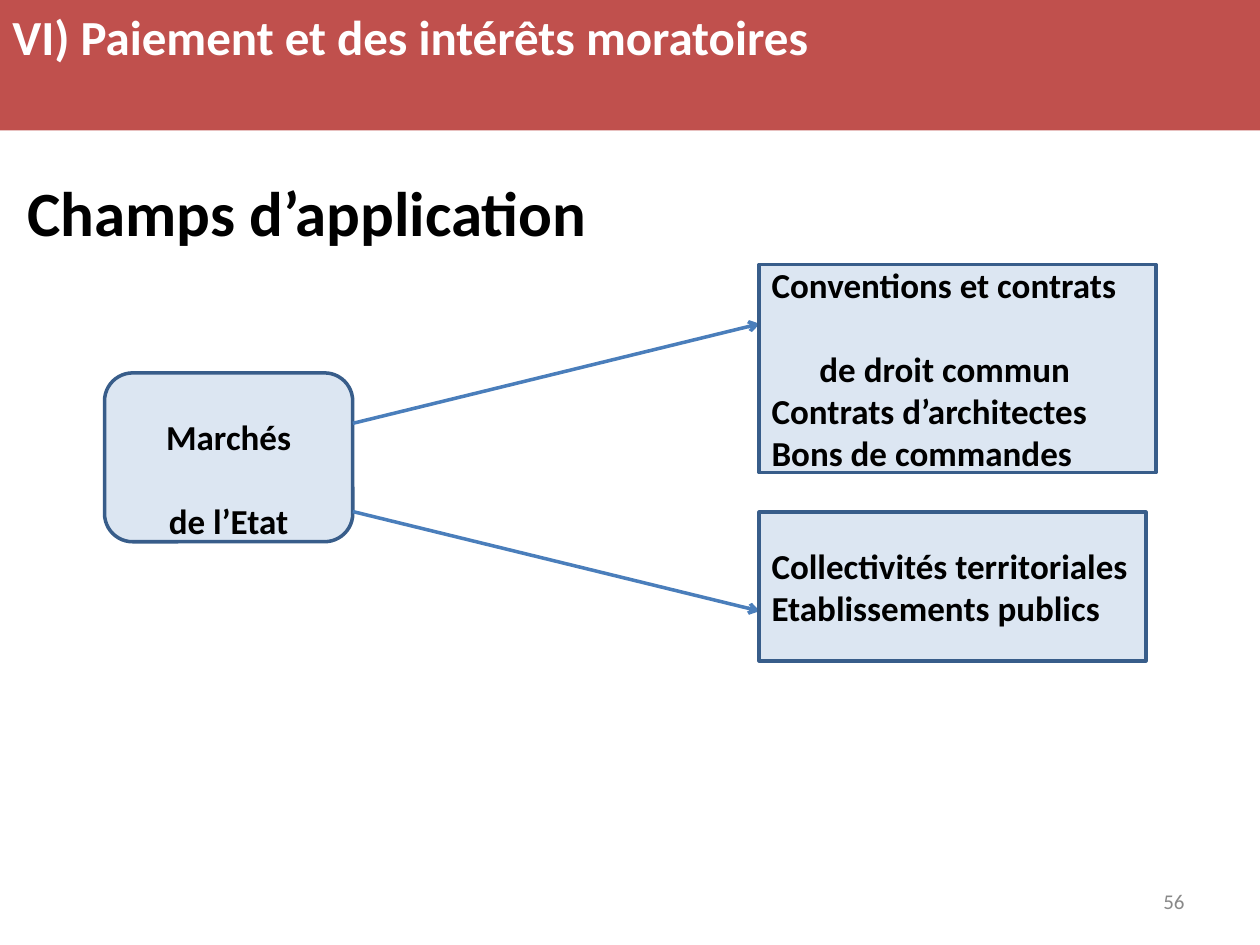
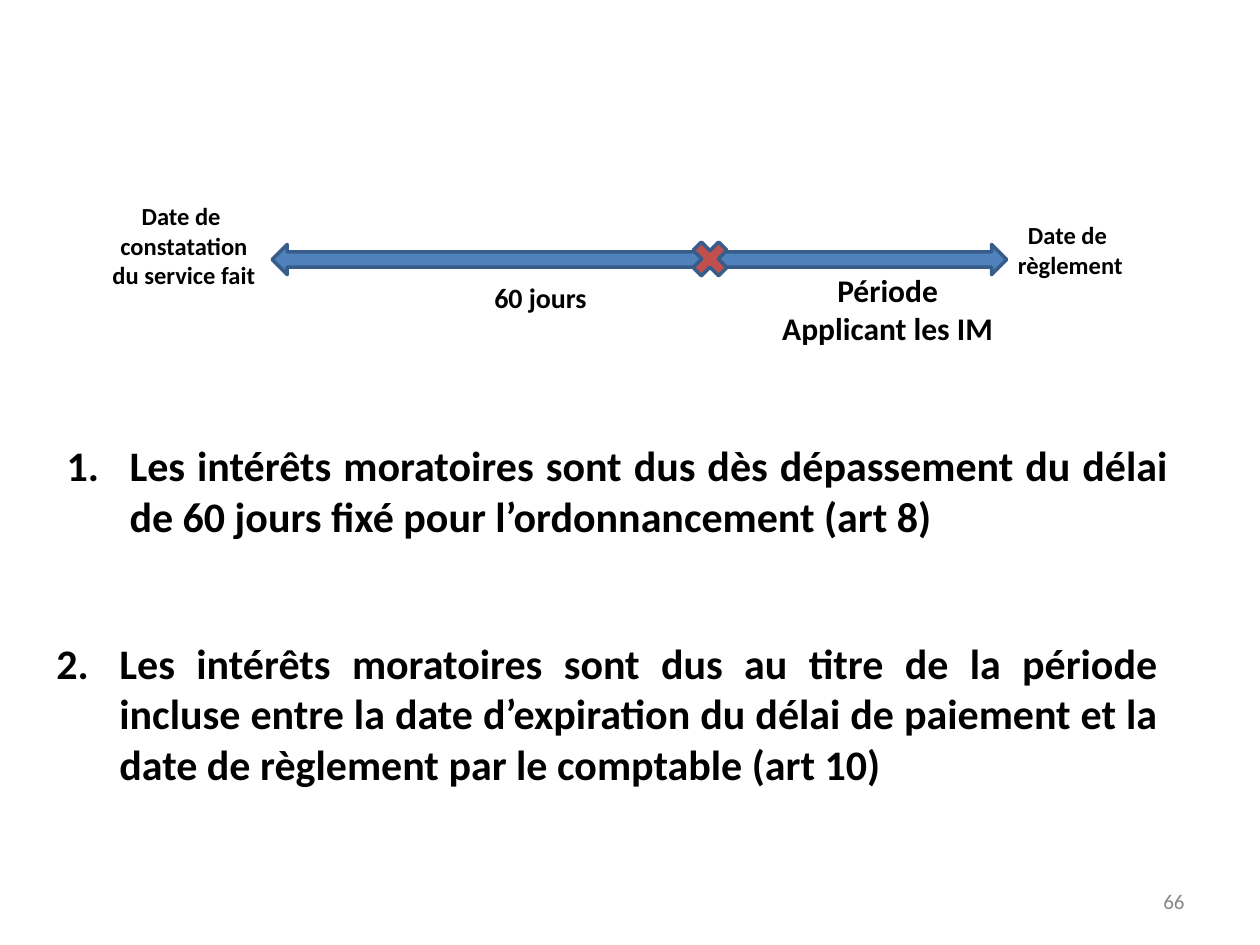
from dataclasses import dataclass
from typing import Optional

from lxml.etree import SubElement
from pptx import Presentation
from pptx.dml.color import RGBColor
from pptx.enum.shapes import MSO_CONNECTOR, MSO_SHAPE
from pptx.enum.text import MSO_ANCHOR, PP_ALIGN
from pptx.oxml.ns import qn
from pptx.util import Emu, Inches, Pt

COLORS = {
    "band": "C0504D",
    "box": "DCE6F2",
    "outline": "385D8A",
    "link": "4A7EBB",
    "timeline": "4F81BD",
    "text": "000000",
    "title": "FFFFFF",
    "number": "898989",
}
FONT = "Calibri"
SLIDE_WIDTH, SLIDE_HEIGHT = Inches(10), Inches(7.5)
COLUMN, ROW = SLIDE_WIDTH / 100, SLIDE_HEIGHT / 75
BLANK_LINE = 24


@dataclass(frozen=True)
class Area:
    left: float
    top: float
    width: float
    height: float

    def lengths(self) -> tuple:
        return (columns(self.left), rows(self.top),
                columns(self.width), rows(self.height))


@dataclass(frozen=True)
class Line:
    text: str
    space_before: float = 0
    indent: float = 0


@dataclass(frozen=True)
class ContractBox:
    area: Area
    lines: tuple
    preset: MSO_SHAPE = MSO_SHAPE.RECTANGLE
    align: PP_ALIGN = PP_ALIGN.LEFT
    anchor: MSO_ANCHOR = MSO_ANCHOR.MIDDLE
    top_inset: float = 0.5


@dataclass(frozen=True)
class Label:
    area: Area
    lines: tuple
    size: int


@dataclass(frozen=True)
class Rule:
    number: int
    area: Area
    text: str


PAGE_NUMBER = Area(71.7, 69.5, 23.3, 4)
BAND = Area(0, 0, 100, 10.35)
HEADING = Area(1.2, 13.3, 63.8, 7)

STATE_BOX = ContractBox(
    Area(8.3, 29.6, 19.7, 13.4),
    (Line("Marchés"), Line("de l’Etat", space_before=BLANK_LINE)),
    MSO_SHAPE.ROUNDED_RECTANGLE, PP_ALIGN.CENTER, MSO_ANCHOR.TOP, 2.7)
CONTRACT_BOX = ContractBox(
    Area(60.25, 21, 31.5, 16.5),
    (Line("Conventions et contrats"),
     Line("de droit commun", space_before=BLANK_LINE, indent=3.8),
     Line("Contrats d’architectes"),
     Line("Bons de commandes")))
AUTHORITY_BOX = ContractBox(
    Area(60.25, 40.65, 30.7, 11.8),
    (Line("Collectivités territoriales"), Line("Etablissements publics")))
LINK_START, LINK_END = 28, 60.3
LINK_ROWS = ((33.6, 25.7), (40.6, 48.5))

TIMELINE = Area(21.6, 19.4, 58.3, 2.4)
DEADLINE = Area(54.4, 18.6, 3.9, 3.9)
LABELS = (
    Label(Area(60.1, 21, 20.7, 7), (Line("Période"), Line("Applicant les IM")), 18),
    Label(Area(77.6, 17, 14.7, 5.7), (Line("Date de "), Line("règlement")), 14),
    Label(Area(36.9, 21.8, 12, 3.7), (Line("60 jours"),), 16),
    Label(Area(6.6, 15.5, 16, 8),
          (Line("Date de "), Line("constatation"), Line("du service fait")), 14),
)
RULES = (
    Rule(1, Area(4.3, 34.4, 89.4, 9),
         "Les intérêts moratoires sont dus dès dépassement du délai de 60 jours "
         "fixé pour l’ordonnancement (art 8)"),
    Rule(2, Area(3.5, 50.1, 89.4, 13),
         "Les intérêts moratoires sont dus au titre de la période incluse entre "
         "la date d’expiration du délai de paiement et la date de règlement par "
         "le comptable (art 10)"),
)


def columns(count: float) -> Emu:
    return Emu(round(count * COLUMN))


def rows(count: float) -> Emu:
    return Emu(round(count * ROW))


def color(name: str) -> RGBColor:
    return RGBColor.from_string(COLORS[name])


def add_number(paragraph, number: int) -> None:
    properties = paragraph._p.get_or_add_pPr()
    properties.set("marL", str(columns(5)))
    properties.set("indent", str(-columns(5)))
    bullet_color = SubElement(properties, qn("a:buClr"))
    SubElement(bullet_color, qn("a:srgbClr"), val=COLORS["text"])
    SubElement(properties, qn("a:buFont"), typeface="+mj-lt")
    SubElement(properties, qn("a:buAutoNum"), type="arabicPeriod", startAt=str(number))


def write(shape, lines: tuple, *, size: int, color_name: str = "text",
          bold: bool = True, align: PP_ALIGN = PP_ALIGN.LEFT,
          anchor: MSO_ANCHOR = MSO_ANCHOR.TOP, top_inset: float = 0.5,
          number: Optional[int] = None) -> None:
    frame = shape.text_frame
    frame.word_wrap = True
    frame.vertical_anchor = anchor
    frame.margin_left = frame.margin_right = columns(1)
    frame.margin_top, frame.margin_bottom = rows(top_inset), rows(0.5)
    for index, line in enumerate(lines):
        paragraph = frame.add_paragraph() if index else frame.paragraphs[0]
        paragraph.alignment = align
        if line.space_before:
            paragraph.space_before = Pt(line.space_before)
        if line.indent:
            paragraph._p.get_or_add_pPr().set("marL", str(columns(line.indent)))
        if number is not None:
            add_number(paragraph, number)
        run = paragraph.add_run()
        run.text = line.text
        run.font.name = FONT
        run.font.size = Pt(size)
        run.font.bold = bold
        run.font.color.rgb = color(color_name)


def add_text(slide, area: Area, lines: tuple, **text_format) -> None:
    write(slide.shapes.add_textbox(*area.lengths()), lines, **text_format)


def add_filled(slide, area: Area, preset: MSO_SHAPE, fill: str,
               outline: Optional[str] = "outline"):
    shape = slide.shapes.add_shape(preset, *area.lengths())
    shape.shadow.inherit = False
    shape.fill.solid()
    shape.fill.fore_color.rgb = color(fill)
    if outline:
        shape.line.color.rgb = color(outline)
        shape.line.width = Pt(2)
    else:
        shape.line.fill.background()
    return shape


def add_contract_box(slide, box: ContractBox) -> None:
    shape = add_filled(slide, box.area, box.preset, "box")
    write(shape, box.lines, size=20, align=box.align, anchor=box.anchor,
          top_inset=box.top_inset)


def add_link(slide, start_row: float, end_row: float) -> None:
    connector = slide.shapes.add_connector(
        MSO_CONNECTOR.STRAIGHT, columns(LINK_START), rows(start_row),
        columns(LINK_END), rows(end_row))
    connector.line.color.rgb = color("link")
    connector.line.width = Pt(2)
    SubElement(connector.line._get_or_add_ln(), qn("a:tailEnd"), type="arrow")
    SubElement(connector._element.spPr, qn("a:effectLst"))


def add_slide(presentation, page: int):
    slide = presentation.slides.add_slide(presentation.slide_layouts[6])
    add_text(slide, PAGE_NUMBER, (Line(str(page)),), size=12, color_name="number",
             bold=False, align=PP_ALIGN.RIGHT, anchor=MSO_ANCHOR.MIDDLE)
    return slide


def build_scope(presentation) -> None:
    slide = add_slide(presentation, 56)
    band = add_filled(slide, BAND, MSO_SHAPE.RECTANGLE, "band", outline=None)
    write(band, (Line("VI) Paiement et des intérêts moratoires"),), size=28,
          color_name="title")
    add_text(slide, HEADING, (Line("Champs d’application"),), size=36)
    add_contract_box(slide, STATE_BOX)
    for start_row, end_row in LINK_ROWS:
        add_link(slide, start_row, end_row)
    for box in (CONTRACT_BOX, AUTHORITY_BOX):
        add_contract_box(slide, box)


def build_deadlines(presentation) -> None:
    slide = add_slide(presentation, 66)
    add_filled(slide, TIMELINE, MSO_SHAPE.LEFT_RIGHT_ARROW, "timeline")
    add_filled(slide, DEADLINE, MSO_SHAPE.MATH_MULTIPLY, "band")
    for label in LABELS:
        add_text(slide, label.area, label.lines, size=label.size,
                 align=PP_ALIGN.CENTER)
    for rule in RULES:
        add_text(slide, rule.area, (Line(rule.text),), size=24,
                 align=PP_ALIGN.JUSTIFY, anchor=MSO_ANCHOR.MIDDLE,
                 number=rule.number)


def main() -> None:
    presentation = Presentation()
    presentation.slide_width, presentation.slide_height = SLIDE_WIDTH, SLIDE_HEIGHT
    build_scope(presentation)
    build_deadlines(presentation)
    presentation.save("out.pptx")


if __name__ == "__main__":
    main()
